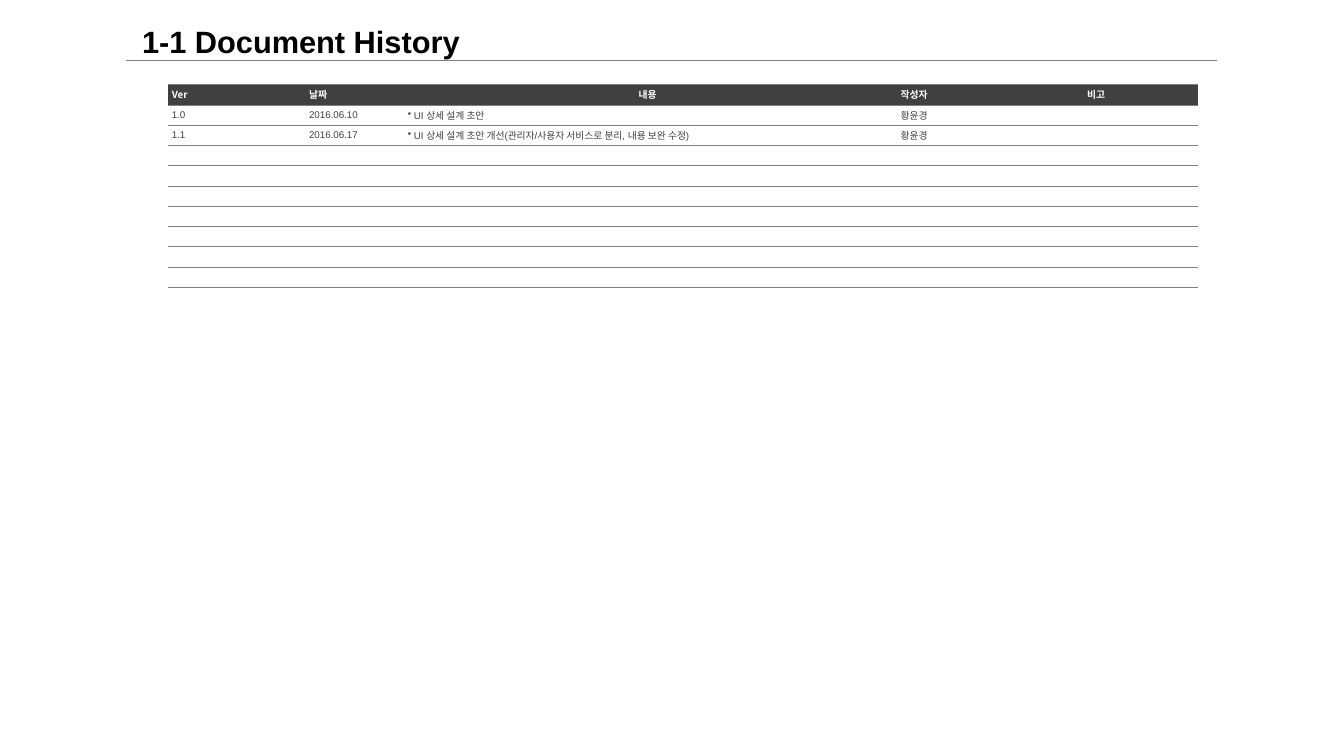
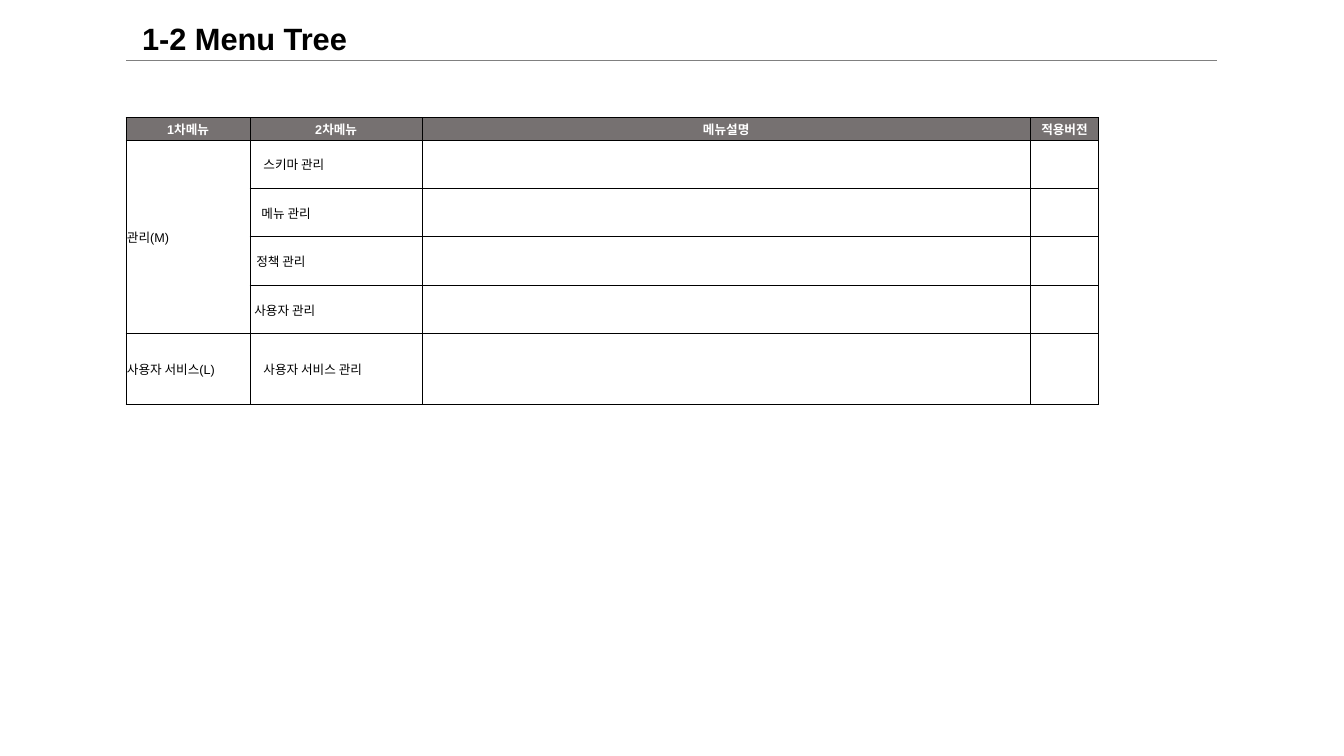
from dataclasses import dataclass

from pptx import Presentation
from pptx import util as u
from pptx.dml.color import RGBColor
from pptx.enum import shapes, text
from pptx.oxml import ns, xmlchemy
from pptx.oxml.ns import qn
from lxml import etree

Cm, Pt = u.Cm, u.Pt
MID, LEFT = text.PP_ALIGN.CENTER, text.PP_ALIGN.LEFT
PLAIN = "{2D5ABB26-0587-4C30-8999-92F81FD0307C}"  # table style without grid


@dataclass(frozen=True)
class Theme:
    black: str = "000000"
    white: str = "FFFFFF"
    dark: str = "404040"
    rule: str = "808080"
    gray: str = "767171"
    latin: str = "Arial"
    asian: str = "Noto Sans CJK KR"
    title: float = 22
    small: float = 7
    menu: float = 9


T = Theme()


@dataclass(frozen=True)
class Item:
    """Text of one table cell."""
    row: int
    col: int
    words: str
    align: text.PP_ALIGN = LEFT
    pad: float = 0  # extra left margin, cm
    bullet: bool = False


@dataclass(frozen=True)
class Grid:
    """Place and look of one table; lengths in cm, line width in points."""
    left: float
    top: float
    cols: list[float]
    rows: list[float]
    size: float
    ink: str
    head: str
    face: str  # header font
    sides: str  # bordered cell sides
    edge: str
    width: float
    pads: tuple[float, float, float]  # left, right, top and bottom
    spans: list[tuple[int, int, int, int]]


def put(frame, words: str, *, size: float, color: str, face: str = T.latin,
        bold: bool = False, align: text.PP_ALIGN = LEFT,
        space: float = 1, bullet: bool = False) -> None:
    """Write one formatted paragraph; empty words only set the line height."""
    para = frame.paragraphs[0]
    if not words:
        end = etree.SubElement(para._p, qn("a:endParaRPr"))
        end.set("sz", str(int(size * 100)))
        return
    para.alignment, para.line_spacing = align, space
    run = para.add_run()
    run.text = words
    font = run.font
    font.name, font.size, font.bold = face, Pt(size), bold
    font.color.rgb = RGBColor.from_string(color)
    asian = etree.SubElement(run._r.get_or_add_rPr(), qn("a:ea"))
    asian.set("typeface", T.asian)
    if bullet:
        props = para._p.get_or_add_pPr()
        props.set("marL", str(Cm(0.15)))
        props.set("indent", str(-Cm(0.15)))
        etree.SubElement(props, qn("a:buChar")).set("char", "•")


def edge(cell, side: str, color: str, width: float) -> None:
    line = etree.SubElement(cell._tc.get_or_add_tcPr(), qn(f"a:ln{side}"))
    line.set("w", str(Pt(width)))
    fill = etree.SubElement(line, qn("a:solidFill"))
    etree.SubElement(fill, qn("a:srgbClr")).set("val", color)


def page(deck, title: str, top: float):
    """Add a slide with the shared title and the rule below it."""
    slide = deck.slides.add_slide(deck.slide_layouts[5])
    box = slide.shapes.title
    box.left, box.top, box.width, box.height = Cm(3.33), Cm(top), Cm(27), Cm(1.42)
    frame = box.text_frame
    frame.auto_size, frame.word_wrap = text.MSO_AUTO_SIZE.NONE, True
    frame.vertical_anchor = text.MSO_ANCHOR.TOP
    frame.margin_left = frame.margin_right = Cm(0.25)
    frame.margin_top = frame.margin_bottom = 0
    put(frame, title, size=T.title, color=T.black, bold=True, space=1.5)

    line = slide.shapes.add_connector(
        shapes.MSO_CONNECTOR.STRAIGHT, Cm(3.18), Cm(1.53), Cm(30.68), Cm(1.53))
    line.line.color.rgb = RGBColor.from_string(T.rule)
    line.line.width = Pt(0.5)
    etree.SubElement(line._element.spPr, qn("a:effectLst"))
    return slide


def draw(slide, grid: Grid, items: list[Item]) -> None:
    """Draw a table and fill in its cells."""
    table = slide.shapes.add_table(
        len(grid.rows), len(grid.cols), Cm(grid.left), Cm(grid.top),
        Cm(sum(grid.cols)), Cm(sum(grid.rows))).table
    table._tbl.tblPr.find(qn("a:tableStyleId")).text = PLAIN
    table.horz_banding = False
    for col, wide in zip(table.columns, grid.cols):
        col.width = Cm(wide)
    for row, high in zip(table.rows, grid.rows):
        row.height = Cm(high)

    lookup = {(item.row, item.col): item for item in items}
    left, right, tall = grid.pads
    for r in range(len(grid.rows)):
        for c in range(len(grid.cols)):
            cell, head = table.cell(r, c), r == 0
            item = lookup.get((r, c), Item(r, c, ""))
            for side in grid.sides:
                edge(cell, side, grid.edge, grid.width)
            if head:
                cell.fill.solid()
                cell.fill.fore_color.rgb = RGBColor.from_string(grid.head)
            else:
                cell.fill.background()
            cell.vertical_anchor = text.MSO_ANCHOR.MIDDLE
            cell.margin_left, cell.margin_right = Cm(left + item.pad), Cm(right)
            cell.margin_top = cell.margin_bottom = Cm(tall)
            put(cell.text_frame, item.words, size=grid.size, bold=head,
                color=T.white if head else grid.ink,
                face=grid.face if head else T.latin,
                align=item.align, bullet=item.bullet)
    for r, c, down, over in grid.spans:
        table.cell(r, c).merge(table.cell(r + down - 1, c + over - 1))


def past(deck) -> None:
    """Document history."""
    grid = Grid(
        left=4.24, top=2.13, cols=[1.4, 2.06, 2.49, 12.42, 2.62, 4.95],
        rows=[0.51] * 10, size=T.small, ink=T.dark, head=T.dark, face=T.asian,
        sides="TB", edge=T.rule, width=0.25, pads=(0.09, 0.25, 0.05),
        spans=[(0, 0, 1, 2)])
    items = [Item(0, 0, "Ver"), Item(0, 2, "날짜"), Item(0, 3, "내용", MID),
             Item(0, 4, "작성자"), Item(0, 5, "비고", MID)]
    log = [
        ("1.0", "2016.06.10", "UI 상세 설계 초안", "황윤경"),
        ("1.1", "2016.06.17",
         "UI 상세 설계 초안 개선(관리자/사용자 서비스로 분리, 내용 보완 수정)", "황윤경"),
    ]
    for r, entry in enumerate(log, 1):
        items += [Item(r, c, words, bullet=c == 3)
                  for c, words in zip((0, 2, 3, 4), entry)]
    draw(page(deck, "1-1 Document History", 0.1), grid, items)


def menu(deck) -> None:
    """Menu tree."""
    grid = Grid(
        left=3.18, top=2.97, cols=[3.12, 4.34, 15.32, 1.73],
        rows=[0.56] + [1.22] * 4 + [1.78], size=T.menu, ink=T.black,
        head=T.gray, face=T.latin, sides="LRTB", edge=T.black, width=0.75,
        pads=(0.02, 0.02, 0.02), spans=[(1, 0, 4, 1)])
    heads = ["1차메뉴", "2차메뉴", "메뉴설명", "적용버전"]
    items = [Item(0, c, words, MID) for c, words in enumerate(heads)]
    items += [Item(1, 0, "관리(M)"), Item(5, 0, "사용자 서비스(L)")]
    subs = [("스키마 관리", 0.32), ("메뉴 관리", 0.27), ("정책 관리", 0.14),
            ("사용자 관리", 0.09), ("사용자 서비스 관리", 0.32)]
    items += [Item(r, 1, words, pad=pad)
              for r, (words, pad) in enumerate(subs, 1)]
    draw(page(deck, "1-2 Menu Tree", 0.03), grid, items)


def main() -> None:
    deck = Presentation()
    deck.slide_width, deck.slide_height = Cm(33.87), Cm(19.05)
    past(deck)
    menu(deck)
    deck.save("out.pptx")


if __name__ == "__main__":
    main()
